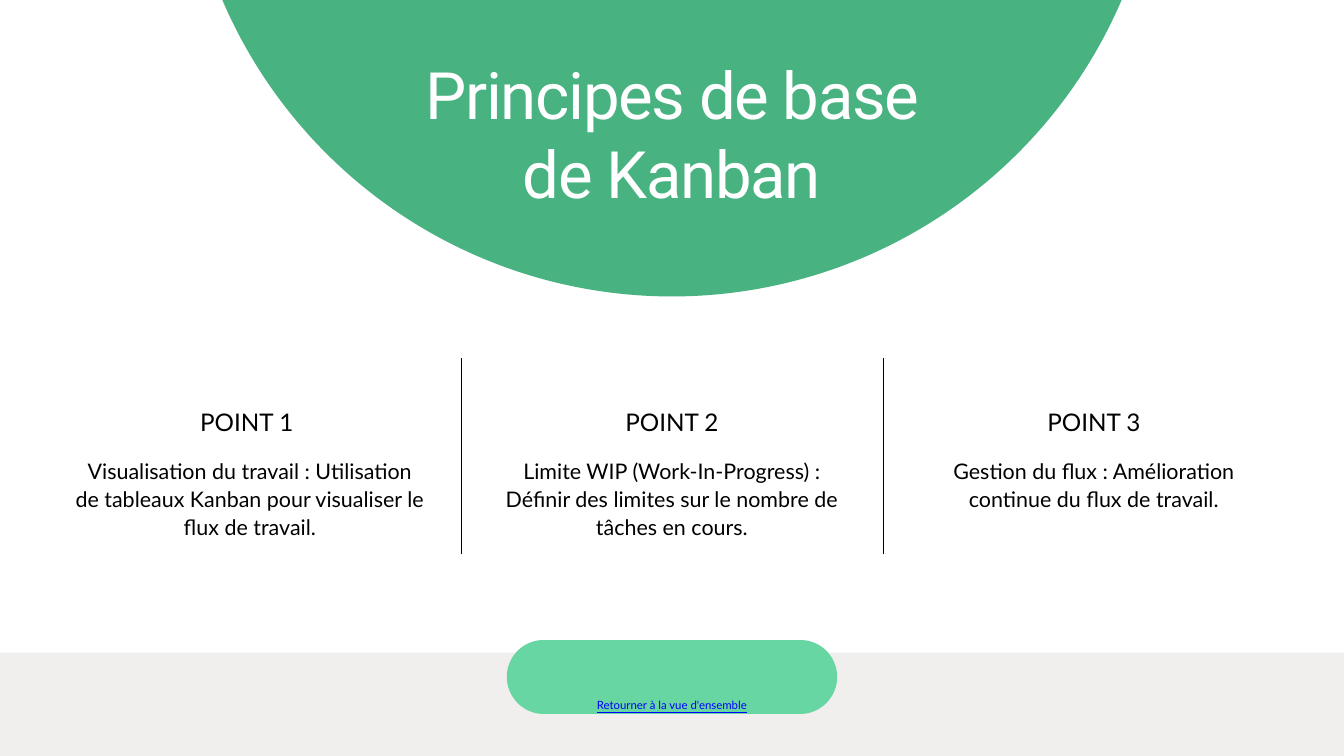
from lxml import etree
from pptx import Presentation
from pptx.dml.color import RGBColor
from pptx.enum import shapes, text
from pptx.oxml import ns
from pptx.util import Pt

GREEN = RGBColor(0x48, 0xB2, 0x81)
MINT = RGBColor(0x68, 0xD6, 0xA3)
GREY = RGBColor(0xF1, 0xEE, 0xEE)
WHITE = RGBColor(0xFF, 0xFF, 0xFF)
BLACK = RGBColor(0, 0, 0)
BLUE = RGBColor(0, 0, 0xFF)

WIDTH, HEIGHT = 1440, 810
CENTER = WIDTH / 2

deck = Presentation()
deck.slide_width, deck.slide_height = Pt(WIDTH), Pt(HEIGHT)
slide = deck.slides.add_slide(deck.slide_layouts[6])


def add_text(center, top, width, height, words, spacing, color, **font_values):
    """Add a centred text box and return its run."""
    box = slide.shapes.add_textbox(Pt(center - width / 2), Pt(top), Pt(width), Pt(height))
    frame = box.text_frame
    frame.word_wrap = True
    for side in ("left", "top", "right", "bottom"):
        setattr(frame, f"margin_{side}", 0)
    paragraph = frame.paragraphs[0]
    paragraph.alignment = text.PP_ALIGN.CENTER
    paragraph.line_spacing = Pt(spacing)
    run = paragraph.add_run()
    run.text = words
    run.font.color.rgb = color
    for name, value in font_values.items():
        setattr(run.font, name, value)
    return run


def add_line(x1, y1, x2, y2, color, width):
    """Add a straight line without a shadow."""
    line = slide.shapes.add_connector(
        shapes.MSO_CONNECTOR.STRAIGHT, Pt(x1), Pt(y1), Pt(x2), Pt(y2))
    line.line.color.rgb = color
    line.line.width = Pt(width)
    etree.SubElement(line._element.spPr, ns.qn("a:effectLst"))
    return line


# Green disc and grey footer band
DIAMETER = 1048.3
disc_bottom, footer_top = 317.6, 699.4
backdrop = [
    (shapes.MSO_SHAPE.OVAL, CENTER - DIAMETER / 2, disc_bottom - DIAMETER, DIAMETER, DIAMETER, GREEN),
    (shapes.MSO_SHAPE.RECTANGLE, 0, footer_top, WIDTH, HEIGHT - footer_top, GREY),
]
for kind, left, top, width, height, color in backdrop:
    area = slide.shapes.add_shape(kind, Pt(left), Pt(top), Pt(width), Pt(height))
    area.shadow.inherit = False
    area.fill.solid()
    area.fill.fore_color.rgb = color
    area.line.fill.background()

# Title
title = add_text(CENTER, 58.3, 591, 165.6, "Principes de base de Kanban", 84, WHITE,
                 name="Roboto", size=Pt(70))
title.font._element.set("spc", "-140")

# Three principles, with dividers halfway between the columns
COLUMN_STEP = 452.16
principles = [
    ("POINT 1 ", "Visualisation du travail : Utilisation de tableaux Kanban pour visualiser le flux de travail."),
    ("POINT 2", "Limite WIP (Work-In-Progress) : Définir des limites sur le nombre de tâches en cours."),
    ("POINT 3", "Gestion du flux : Amélioration continue du flux de travail."),
]
for column, (heading, description) in enumerate(principles):
    center = CENTER + (column - 1) * COLUMN_STEP
    add_text(center, 488.2, 374.4, 85.7, description, 29.9, BLACK, name="Lato", size=Pt(23))
    add_text(center, 433.4, 374.4, 31.7, heading, 33.8, BLACK, name="Lato", size=Pt(26))
    if column:
        divider = center - COLUMN_STEP / 2
        add_line(divider, 594, divider, 383.8, BLACK, 0.75)

# Return button: a thick line with round ends
button = add_line(582.5, 725, 857.5, 725, MINT, 79)
button.line._get_or_add_ln().set("cap", "rnd")
add_text(CENTER, 746.6, 187.2, 15.1, "Retourner à la vue d'ensemble", 15.9, BLUE,
         name="Lato", size=Pt(12.2), underline=True)

deck.save("out.pptx")
